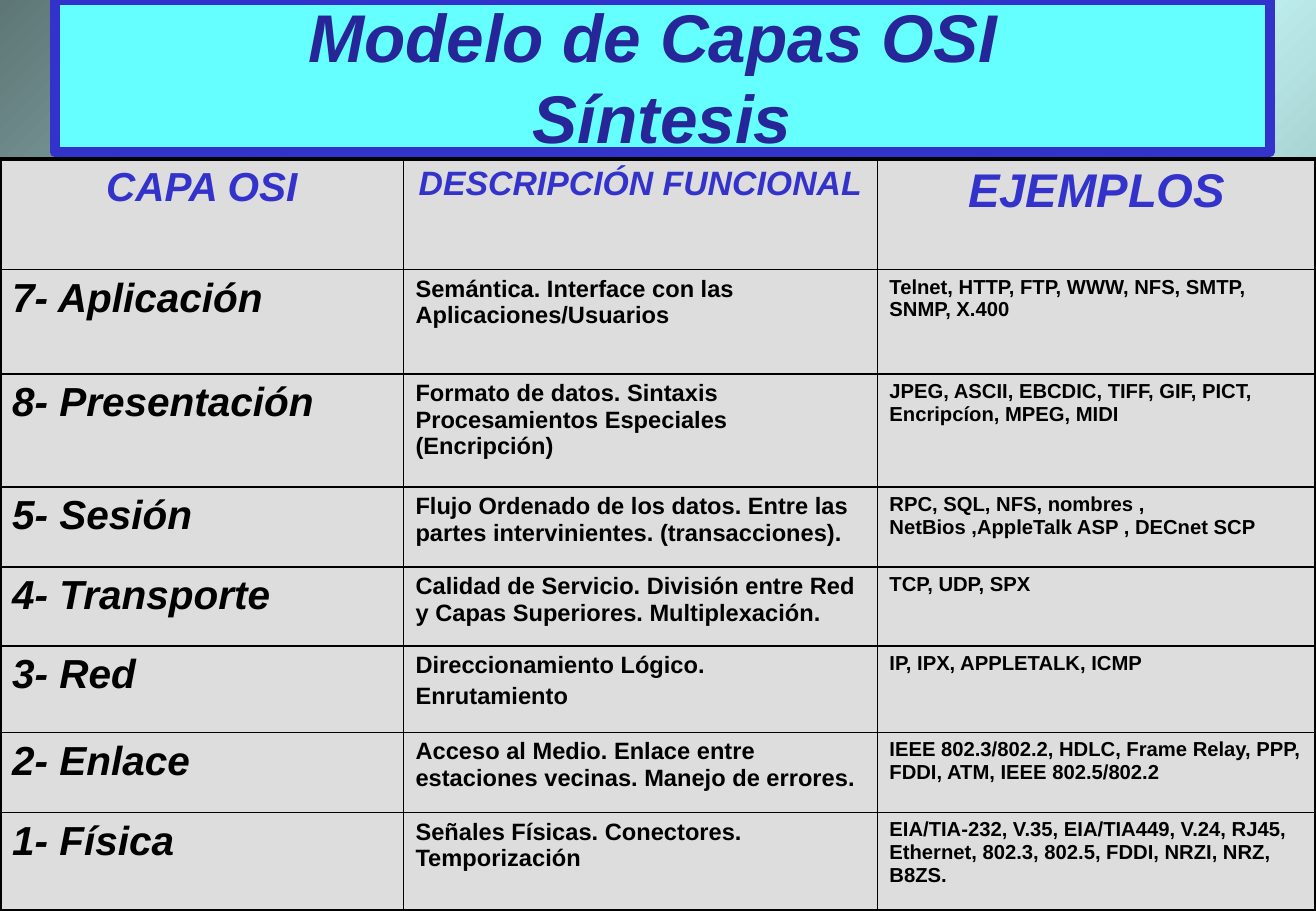
from lxml.etree import SubElement
from pptx import Presentation
from pptx.dml.color import RGBColor
from pptx.enum.text import MSO_ANCHOR, MSO_AUTO_SIZE, PP_ALIGN
from pptx.oxml import parse_xml
from pptx.oxml.ns import nsdecls, qn
from pptx.util import Pt

PX = 9144
BLUE = "3333CC"
BLACK = "000000"
HEADERS = [("CAPA OSI", 24), ("DESCRIPCIÓN FUNCIONAL", 20), ("EJEMPLOS", 28)]
BODY_STYLES = [(24, True), (14, False), (12, False)]
COLUMN_WIDTHS = [332, 390, 361]
ROW_HEIGHTS = [91, 86, 93, 66, 65, 71, 66, 81]
LAYERS = [
    ("7- Aplicación", "Semántica. Interface con las Aplicaciones/Usuarios",
     "Telnet, HTTP, FTP, WWW, NFS, SMTP, SNMP, X.400"),
    ("8- Presentación", "Formato de datos. Sintaxis Procesamientos Especiales (Encripción)",
     "JPEG, ASCII, EBCDIC, TIFF, GIF, PICT, Encripcíon, MPEG, MIDI"),
    ("5- Sesión", "Flujo Ordenado de los datos. Entre las partes intervinientes. (transacciones).",
     "RPC, SQL, NFS, nombres ,\vNetBios ,AppleTalk ASP , DECnet SCP"),
    ("4- Transporte", "Calidad de Servicio. División entre Red y Capas Superiores. Multiplexación.",
     "TCP, UDP, SPX"),
    ("3- Red", "Direccionamiento Lógico.\nEnrutamiento", "IP, IPX, APPLETALK, ICMP"),
    ("2- Enlace", "Acceso al Medio. Enlace entre estaciones vecinas. Manejo de errores.",
     "IEEE 802.3/802.2, HDLC, Frame Relay, PPP, FDDI, ATM, IEEE 802.5/802.2"),
    ("1- Física", "Señales Físicas. Conectores. Temporización",
     "EIA/TIA-232, V.35, EIA/TIA449, V.24, RJ45, Ethernet, 802.3, 802.5, FDDI, NRZI, NRZ, B8ZS."),
]


def color(value):
    return RGBColor.from_string(value)


def scaled(box):
    return [length * PX for length in box]


def style_text(frame, size, value, italic, align):
    for index, para in enumerate(frame.paragraphs):
        para.alignment = align
        para.space_before = Pt(size * 0.2 if index else 0)
        font = para.font
        font.name, font.size = "Arial", Pt(size)
        font.bold, font.italic = True, italic
        font.color.rgb = color(value)


def paint_background(page):
    page.background.fill.solid()
    properties = page.background._cSld.bg.bgPr
    stops = "".join(
        f'<a:gs pos="{position * 1000}"><a:srgbClr val="{value}"/></a:gs>'
        for position, value in [(0, "5E7676"), (50, "CCFFFF"), (100, "5E7676")]
    )
    gradient = parse_xml(
        f'<a:gradFill {nsdecls("a")} rotWithShape="0"><a:gsLst>{stops}</a:gsLst>'
        '<a:lin ang="2700000" scaled="1"/></a:gradFill>'
    )
    properties.replace(properties.find(qn("a:solidFill")), gradient)


def add_title(page, box):
    title = page.shapes.title
    title.left, title.top, title.width, title.height = scaled(box)
    title.fill.solid()
    title.fill.fore_color.rgb = color("66FFFF")
    title.line.color.rgb = color(BLUE)
    title.line.width = Pt(6)
    frame = title.text_frame
    frame.text = "Modelo de Capas OSI \vSíntesis"
    frame.auto_size = MSO_AUTO_SIZE.NONE
    frame.vertical_anchor = MSO_ANCHOR.MIDDLE
    style_text(frame, 40, "262699", True, PP_ALIGN.CENTER)


def set_borders(cell, outer_sides):
    properties = cell._tc.get_or_add_tcPr()
    for index, side in enumerate(["L", "R", "T", "B"]):
        width = Pt(2.25 if side in outer_sides else 1)
        line = SubElement(properties, qn(f"a:ln{side}"), w=str(int(width)))
        fill = SubElement(line, qn("a:solidFill"))
        SubElement(fill, qn("a:srgbClr"), val=BLACK)
        properties.insert(index, line)


def add_layer_table(page, box):
    row_count, column_count = len(ROW_HEIGHTS), len(COLUMN_WIDTHS)
    table = page.shapes.add_table(row_count, column_count, *scaled(box)).table
    table.horz_banding = False
    for column, width in zip(table.columns, COLUMN_WIDTHS):
        column.width = width * PX
    for row, height in zip(table.rows, ROW_HEIGHTS):
        row.height = height * PX
    for row in range(row_count):
        for column in range(column_count):
            cell = table.cell(row, column)
            cell.fill.solid()
            cell.fill.fore_color.rgb = color("DDDDDD")
            edges = {"L": column == 0, "R": column == column_count - 1,
                     "T": row == 0, "B": row == row_count - 1}
            set_borders(cell, [side for side, outer in edges.items() if outer])
            if row == 0:
                text, size = HEADERS[column]
                italic, value, align = True, BLUE, PP_ALIGN.CENTER
            else:
                text = LAYERS[row - 1][column]
                size, italic = BODY_STYLES[column]
                value, align = BLACK, PP_ALIGN.LEFT
            cell.text_frame.text = text
            style_text(cell.text_frame, size, value, italic, align)


def main():
    deck = Presentation()
    deck.slide_width, deck.slide_height = scaled((1083, 750))
    page = deck.slides.add_slide(deck.slide_layouts[5])
    paint_background(page)
    add_title(page, (45, 0, 1000, 125))
    add_layer_table(page, (0, 131, 1083, 619))
    deck.save("out.pptx")


if __name__ == "__main__":
    main()
